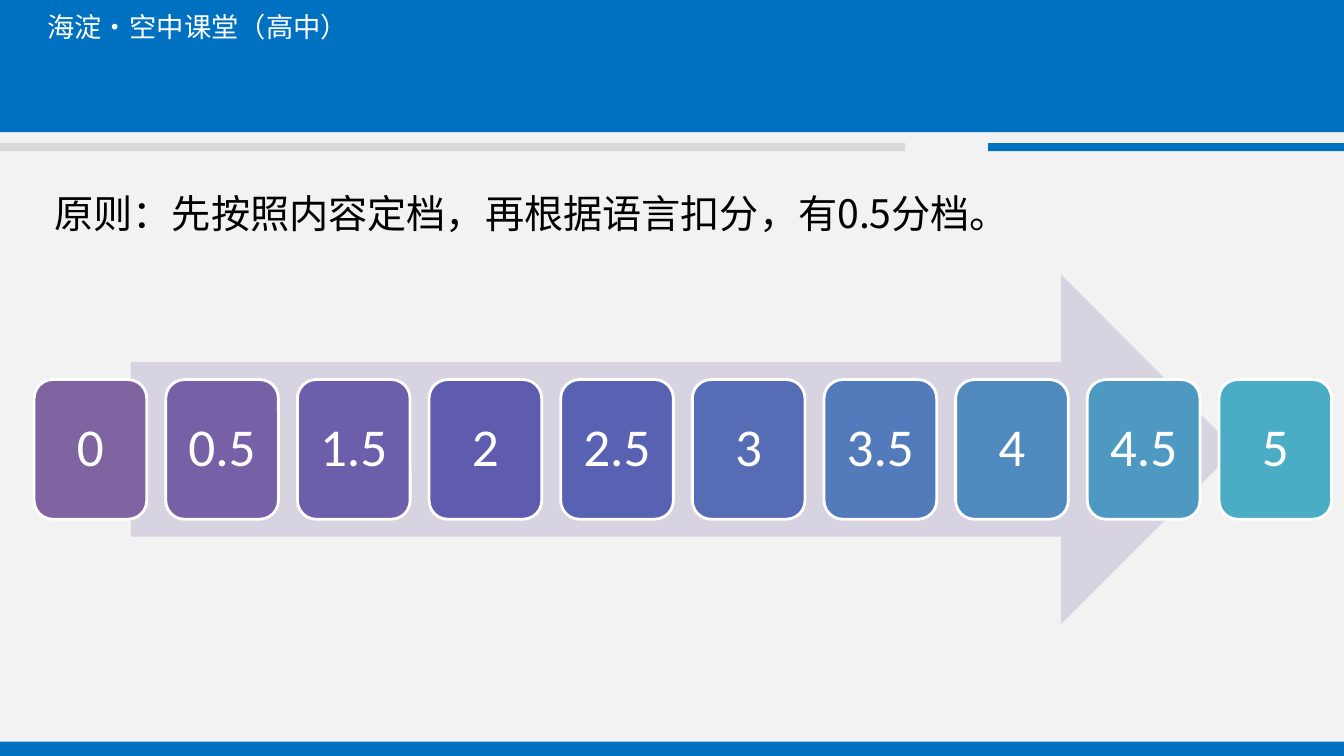
from pptx import Presentation
from pptx.dml.color import RGBColor
from pptx.enum.shapes import MSO_SHAPE
from pptx.enum.text import MSO_ANCHOR, PP_ALIGN
from pptx.oxml.ns import qn
from pptx.util import Cm, Pt

RECTANGLE = MSO_SHAPE.RECTANGLE
ROUNDED = MSO_SHAPE.ROUNDED_RECTANGLE
ARROW = MSO_SHAPE.RIGHT_ARROW
MIDDLE = MSO_ANCHOR.MIDDLE
LEFT, CENTER = PP_ALIGN.LEFT, PP_ALIGN.CENTER

PAGE_WIDTH, PAGE_HEIGHT = 33.87, 19.05
HAN_FONT, NUMBER_FONT = "Noto Sans CJK SC", "Calibri"
COLORS = {
    "page": "F2F2F2",
    "band": "0070C0",
    "rule": "D9D9D9",
    "arrow": "D8D3E0",
    "white": "FFFFFF",
    "black": "000000",
}
SCORE_COLORS = {
    "0": "8064A2",
    "0.5": "7761A6",
    "1.5": "6C5EAA",
    "2": "5F5BAE",
    "2.5": "5961B2",
    "3": "566DB6",
    "3.5": "537ABA",
    "4": "5089BE",
    "4.5": "4E99C2",
    "5": "4BACC6",
}


def add_block(shapes, kind, box, color):
    """Add a filled shape without line or shadow; box is left, top, width, height in cm."""
    block = shapes.add_shape(kind, *map(Cm, box))
    block.shadow.inherit = False
    block.fill.solid()
    block.fill.fore_color.rgb = RGBColor.from_string(color)
    block.line.fill.background()
    return block


def write_span(para, text, font_name, size, color, align):
    """Add one formatted run, with the same font for Latin and Chinese characters."""
    para.alignment = align
    span = para.add_run()
    span.text = text
    span.font.name = font_name
    span.font.size = Pt(size)
    span.font.color.rgb = RGBColor.from_string(color)
    east_asian = span.font._element.makeelement(qn("a:ea"), {"typeface": font_name})
    span.font._element.find(qn("a:latin")).addnext(east_asian)


def add_frame(page, box):
    """Draw the page bands, the two rules and the course name."""
    left, top, width, height = box
    page.background.fill.solid()
    page.background.fill.fore_color.rgb = RGBColor.from_string(COLORS["page"])
    footer_top, rule_top, blue_left = top + 18.69, top + 3.61, left + 24.9
    right, bottom = left + width, top + height
    bands = [
        ((left, footer_top, width, bottom - footer_top), "band"),
        ((left, top, width, 3.33), "band"),
        ((left, rule_top, 22.82, 0.2), "rule"),
        ((blue_left, rule_top, right - blue_left, 0.2), "band"),
    ]
    for band_box, name in bands:
        add_block(page.shapes, RECTANGLE, band_box, COLORS[name])
    course = page.shapes.add_textbox(Cm(left + 0.94), Cm(top + 0.13), Cm(16.4), Cm(1.24))
    course.text_frame.word_wrap = True
    write_span(course.text_frame.paragraphs[0], "海淀·空中课堂（高中）",
               HAN_FONT, 19.5, COLORS["white"], LEFT)


def add_title(page, box):
    """Place the scoring principle in the title placeholder."""
    title = page.shapes.title
    title.left, title.top, title.width, title.height = map(Cm, box)
    title.text_frame.vertical_anchor = MIDDLE
    write_span(title.text_frame.paragraphs[0],
               "原则：先按照内容定档，再根据语言扣分，有0.5分档。",
               HAN_FONT, 28, COLORS["black"], LEFT)


def add_score_scale(page, box):
    """Draw the arrow and an evenly spaced row of score tiles over it."""
    left, top, width, height = box
    tile_width, tile_height = 2.84, 3.52
    step = (width - tile_width) / (len(SCORE_COLORS) - 1)
    tile_top = top + (height - tile_height) / 2
    scale = page.shapes.add_group_shape().shapes
    add_block(scale, ARROW, (left + 2.44, top, 27.84, height), COLORS["arrow"])
    for index, (score, color) in enumerate(SCORE_COLORS.items()):
        tile_box = (left + index * step, tile_top, tile_width, tile_height)
        tile = add_block(scale, ROUNDED, tile_box, color)
        tile.line.color.rgb = RGBColor.from_string(COLORS["white"])
        tile.line.width = Pt(2)
        frame = tile.text_frame
        frame.margin_left = frame.margin_right = Cm(0.1)
        frame.vertical_anchor = MIDDLE
        para = frame.paragraphs[0]
        para.line_spacing = 0.9
        write_span(para, score, NUMBER_FONT, 38, COLORS["white"], CENTER)


def main():
    """Build and save the one-page deck."""
    deck = Presentation()
    deck.slide_width, deck.slide_height = Cm(PAGE_WIDTH), Cm(PAGE_HEIGHT)
    page = deck.slides.add_slide(deck.slide_layouts[5])
    add_frame(page, (0, 0, PAGE_WIDTH, PAGE_HEIGHT))
    add_title(page, (1.12, 4.39, 32.18, 1.96))
    add_score_scale(page, (0.86, 6.93, 32.7, 8.79))
    deck.save("out.pptx")


if __name__ == "__main__":
    main()
